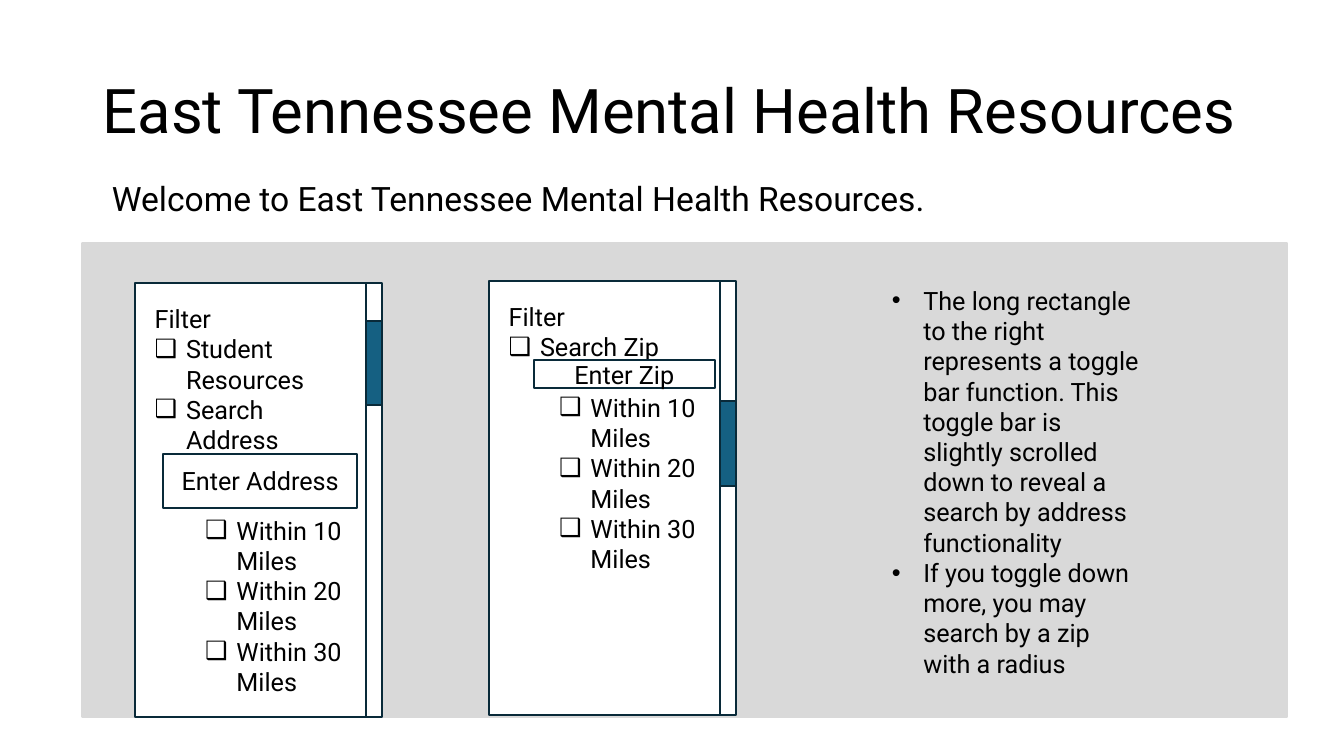
from dataclasses import dataclass

from lxml.etree import SubElement
from pptx import Presentation
from pptx.dml.color import RGBColor
from pptx.enum.shapes import MSO_SHAPE
from pptx.enum.text import MSO_ANCHOR, PP_ALIGN
from pptx.oxml.ns import qn
from pptx.util import Cm, Pt

BLACK = RGBColor(0x00, 0x00, 0x00)
WHITE = RGBColor(0xFF, 0xFF, 0xFF)
GREY = RGBColor(0xD9, 0xD9, 0xD9)
NAVY = RGBColor(0x09, 0x2A, 0x39)
TEAL = RGBColor(0x15, 0x60, 0x82)

FONT = "Roboto"
HANGING = 0.79
CHECKBOX, DOT = "❑", "•"

Box = tuple[float, float, float, float]  # left, top, width, height in cm


@dataclass(frozen=True)
class Item:
    text: str
    bullet: str = ""
    level: int = 0
    gap: float = 0  # space before, in points


@dataclass(frozen=True)
class Panel:
    left: float
    top: float
    list_height: float
    items: list[Item]
    thumb_offset: float
    field_label: str
    field: Box  # relative to the panel


def distances(gap: float) -> list[Item]:
    return [Item(f"Within {miles} Miles", CHECKBOX, 1, 0 if index else gap)
            for index, miles in enumerate((10, 20, 30))]


PANELS = [
    Panel(3.4, 7.14, 10.26,
          [Item("Filter"), Item("Student Resources", CHECKBOX),
           Item("Search Address", CHECKBOX), *distances(43.2)],
          0.94, "Enter Address", (0.71, 4.29, 4.9, 1.37)),
    Panel(12.32, 7.09, 7.95,
          [Item("Filter"), Item("Search Zip", CHECKBOX), *distances(21.6)],
          3.02, "Enter Zip", (1.14, 1.98, 4.55, 0.71)),
]

NOTES = [
    Item("The long rectangle to the right represents a toggle bar function. "
         "This toggle bar is slightly scrolled down to reveal a search by "
         "address functionality", DOT),
    Item("If you toggle down more, you may search by a zip with a radius", DOT),
]


def add_bullet(paragraph, item: Item) -> None:
    properties = paragraph._p.get_or_add_pPr()
    left = HANGING + 1.27 * item.level
    properties.set("marL", str(Cm(left)))
    properties.set("indent", str(-Cm(HANGING)))
    SubElement(properties, qn("a:buFont"), typeface="Arial")
    SubElement(properties, qn("a:buChar"), char=item.bullet)


def write(shape, items: list[Item], size: float = 18,
          anchor=MSO_ANCHOR.TOP, **paragraph_format) -> None:
    frame = shape.text_frame
    frame.word_wrap = True
    frame.vertical_anchor = anchor
    formats = {"alignment": PP_ALIGN.LEFT, **paragraph_format}
    font_formats = {"name": FONT, "size": Pt(size)}
    for index, item in enumerate(items):
        paragraph = frame.add_paragraph() if index else frame.paragraphs[0]
        paragraph.level = item.level
        for name, value in formats.items():
            setattr(paragraph, name, value)
        if item.gap:
            paragraph.space_before = Pt(item.gap)
        if item.bullet:
            add_bullet(paragraph, item)
        run = paragraph.add_run()
        run.text = item.text
        for name, value in font_formats.items():
            setattr(run.font, name, value)
        run.font.color.rgb = BLACK


def add_rectangle(shapes, box: Box, fill: RGBColor,
                  line: RGBColor | None = NAVY):
    shape = shapes.add_shape(MSO_SHAPE.RECTANGLE, *map(Cm, box))
    shape.shadow.inherit = False
    shape.fill.solid()
    shape.fill.fore_color.rgb = fill
    if line is None:
        shape.line.fill.background()
    else:
        shape.line.color.rgb = line
        shape.line.width = Pt(1.5)
    return shape


def add_text(shapes, box: Box, items: list[Item], **text_format) -> None:
    write(shapes.add_textbox(*map(Cm, box)), items, **text_format)


def add_panel(slide, panel: Panel) -> None:
    shapes = slide.shapes.add_group_shape().shapes
    left, top = panel.left, panel.top
    add_rectangle(shapes, (left, top, 6.2, 10.92), WHITE)
    options = add_rectangle(
        shapes, (left + 0.25, top + 0.38, 5.31, panel.list_height), WHITE, None)
    write(options, panel.items)

    # Scroll bar: track and thumb
    add_rectangle(shapes, (left + 5.82, top, 0.4, 10.92), WHITE)
    add_rectangle(shapes, (left + 5.82, top + panel.thumb_offset, 0.4, 2.13), TEAL)

    # Entry field
    x, y, width, height = panel.field
    field = add_rectangle(shapes, (left + x, top + y, width, height), WHITE)
    write(field, [Item(panel.field_label)], anchor=MSO_ANCHOR.MIDDLE,
          alignment=PP_ALIGN.CENTER)


def main() -> None:
    presentation = Presentation()
    presentation.slide_width, presentation.slide_height = Cm(33.87), Cm(19.05)
    slide = presentation.slides.add_slide(presentation.slide_layouts[6])

    # Heading and grey backdrop
    add_text(slide.shapes, (2.34, 1.02, 29.21, 3.68),
             [Item("East Tennessee Mental Health Resources")],
             size=44, anchor=MSO_ANCHOR.MIDDLE, line_spacing=0.9)
    add_rectangle(slide.shapes, (2.08, 6.12, 30.35, 11.94), GREY, GREY)
    add_text(slide.shapes, (2.57, 4.37, 26.01, 1.27),
             [Item("Welcome to East Tennessee Mental Health Resources.")], size=24)

    # Filter panels and explanation
    for panel in PANELS:
        add_panel(slide, panel)
    add_text(slide.shapes, (22.23, 7.06, 6.81, 10.26), NOTES)

    presentation.save("out.pptx")


if __name__ == "__main__":
    main()
